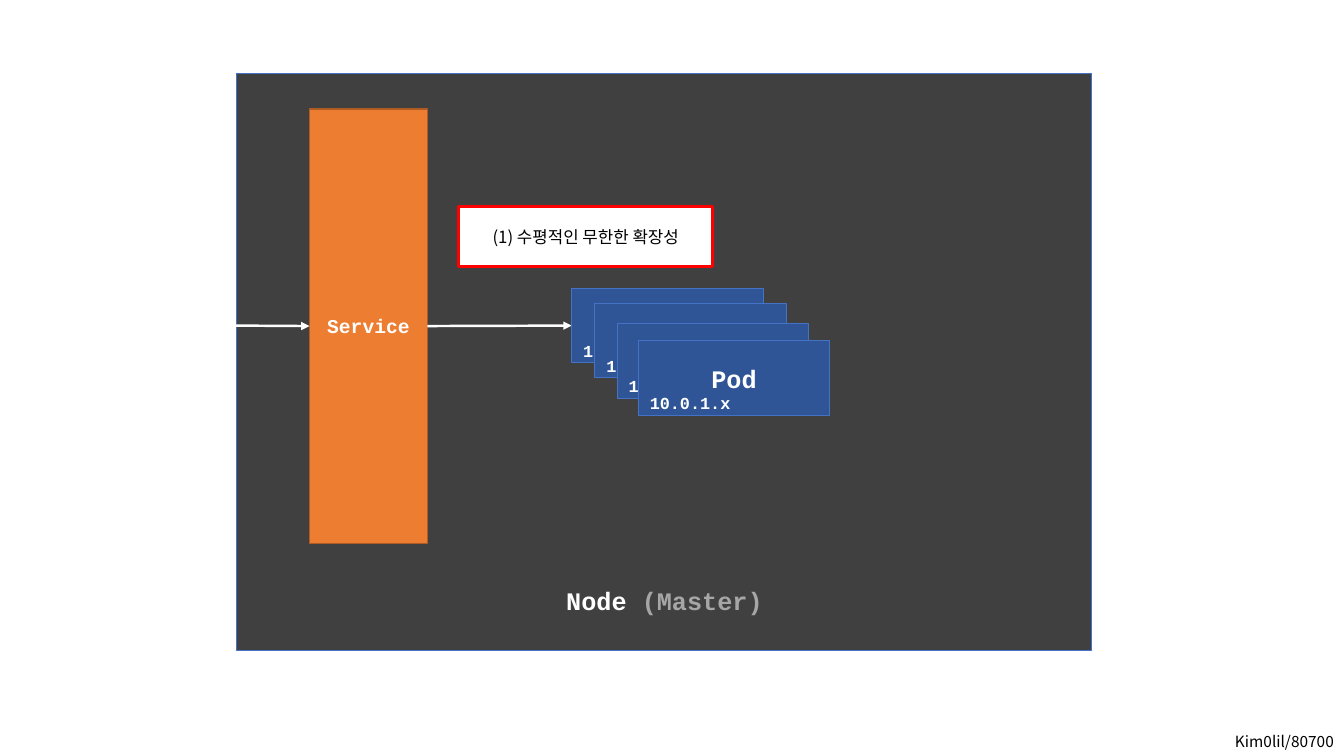
from dataclasses import dataclass

from lxml.etree import SubElement
from pptx import Presentation
from pptx.dml.color import RGBColor
from pptx.enum.shapes import MSO_CONNECTOR, MSO_SHAPE
from pptx.enum.text import MSO_ANCHOR, PP_ALIGN
from pptx.oxml.ns import qn
from pptx.shapes.autoshape import Shape
from pptx.shapes.connector import Connector
from pptx.slide import Slide
from pptx.util import Inches, Pt


@dataclass(frozen=True)
class Theme:
    code_font: str = "Courier New"
    note_font: str = "Noto Sans CJK KR"
    white: str = "FFFFFF"
    black: str = "000000"
    muted: str = "A6A6A6"
    node: str = "404040"
    service: str = "ED7D31"
    service_line: str = "AF5C24"
    pod: str = "2F5597"
    blue_line: str = "4472C4"
    highlight: str = "FF0000"
    heading_size: float = 18
    service_size: float = 14
    label_size: float = 12
    credit_size: float = 11
    arrow_width: float = 1.75


THEME = Theme()


@dataclass(frozen=True)
class Area:
    left: float
    top: float
    width: float
    height: float


@dataclass(frozen=True)
class Words:
    text: str
    size: float
    color: str = THEME.white
    font: str = THEME.code_font
    bold: bool = True


@dataclass(frozen=True)
class Box:
    area: Area
    fill: str
    line: str
    line_width: float
    words: tuple[Words, ...] = ()
    anchor: MSO_ANCHOR = MSO_ANCHOR.MIDDLE
    bottom_inset: float = 0.05


@dataclass(frozen=True)
class Pod:
    left: float
    top: float
    name: str = ""


NODE = Box(
    Area(2.35, 0.73, 8.48, 5.72), THEME.node, THEME.blue_line, 0.75,
    (Words("Node ", THEME.heading_size),
     Words("(Master)", THEME.heading_size, THEME.muted)),
    MSO_ANCHOR.BOTTOM, 0.34,
)
SERVICE = Box(
    Area(3.07, 1.08, 1.17, 4.31), THEME.service, THEME.service_line, 1,
    (Words("Service", THEME.service_size),),
)
NOTE = Box(
    Area(4.55, 2.05, 2.52, 0.59), THEME.white, THEME.highlight, 2.25,
    (Words("(1) 수평적인 무한한 확장성", THEME.label_size, THEME.black,
           THEME.note_font, False),),
)
PODS = (
    Pod(5.67, 2.86),
    Pod(5.9, 3.01),
    Pod(6.12, 3.21, "Pod"),
    Pod(6.33, 3.38, "Pod"),
)
ADDRESS = Words("10.0.1.x", THEME.label_size)
CREDIT = Words("Kim0lil/80700", THEME.credit_size, THEME.black, THEME.note_font, False)
ARROW_TOP = 3.23


def color(value: str) -> RGBColor:
    return RGBColor.from_string(value)


def write(shape: Shape, words: tuple[Words, ...], alignment: PP_ALIGN,
          anchor: MSO_ANCHOR) -> None:
    frame = shape.text_frame
    frame.word_wrap = True
    frame.vertical_anchor = anchor
    paragraph = frame.paragraphs[0]
    paragraph.alignment = alignment
    for piece in words:
        run = paragraph.add_run()
        run.text = piece.text
        run.font.name = piece.font
        run.font.size = Pt(piece.size)
        run.font.bold = piece.bold
        run.font.color.rgb = color(piece.color)
        east_asian = SubElement(run.font._element, qn("a:ea"))
        east_asian.set("typeface", piece.font)


def add_box(slide: Slide, box: Box) -> Shape:
    area = box.area
    shape = slide.shapes.add_shape(
        MSO_SHAPE.RECTANGLE, Inches(area.left), Inches(area.top),
        Inches(area.width), Inches(area.height))
    shape.shadow.inherit = False
    shape.fill.solid()
    shape.fill.fore_color.rgb = color(box.fill)
    shape.line.color.rgb = color(box.line)
    shape.line.width = Pt(box.line_width)
    shape.text_frame.margin_bottom = Inches(box.bottom_inset)
    write(shape, box.words, PP_ALIGN.CENTER, box.anchor)
    return shape


def add_label(slide: Slide, area: Area, words: Words, alignment: PP_ALIGN,
              anchor: MSO_ANCHOR) -> None:
    shape = slide.shapes.add_textbox(
        Inches(area.left), Inches(area.top), Inches(area.width), Inches(area.height))
    write(shape, (words,), alignment, anchor)


def add_pod(slide: Slide, pod: Pod) -> Shape:
    words = (Words(pod.name, THEME.heading_size),) if pod.name else ()
    shape = add_box(slide, Box(Area(pod.left, pod.top, 1.9, 0.74),
                               THEME.pod, THEME.blue_line, 0.75, words))
    add_label(slide, Area(pod.left - 0.07, pod.top + 0.52, 1.17, 0.2),
              ADDRESS, PP_ALIGN.CENTER, MSO_ANCHOR.MIDDLE)
    return shape


def add_arrow(slide: Slide, start: float, end: float) -> Connector:
    arrow = slide.shapes.add_connector(
        MSO_CONNECTOR.STRAIGHT, Inches(start), Inches(ARROW_TOP),
        Inches(end), Inches(ARROW_TOP))
    arrow.line.color.rgb = color(THEME.white)
    arrow.line.width = Pt(THEME.arrow_width)
    SubElement(arrow.line._get_or_add_ln(), qn("a:tailEnd")).set("type", "triangle")
    SubElement(arrow._element.spPr, qn("a:effectLst"))
    return arrow


def main() -> None:
    presentation = Presentation()
    presentation.slide_width = Inches(13.33)
    presentation.slide_height = Inches(7.5)
    slide = presentation.slides.add_slide(presentation.slide_layouts[6])

    add_label(slide, Area(11.36, 7.21, 1.97, 0.29), CREDIT,
              PP_ALIGN.RIGHT, MSO_ANCHOR.TOP)
    add_box(slide, NODE)
    service = add_box(slide, SERVICE)
    incoming = add_arrow(slide, 2.33, SERVICE.area.left)
    incoming.end_connect(service, 1)
    add_box(slide, NOTE)
    outgoing = add_arrow(slide, SERVICE.area.left + SERVICE.area.width, PODS[0].left)
    pods = [add_pod(slide, pod) for pod in PODS]
    outgoing.begin_connect(service, 3)
    outgoing.end_connect(pods[0], 1)

    presentation.save("out.pptx")


if __name__ == "__main__":
    main()
